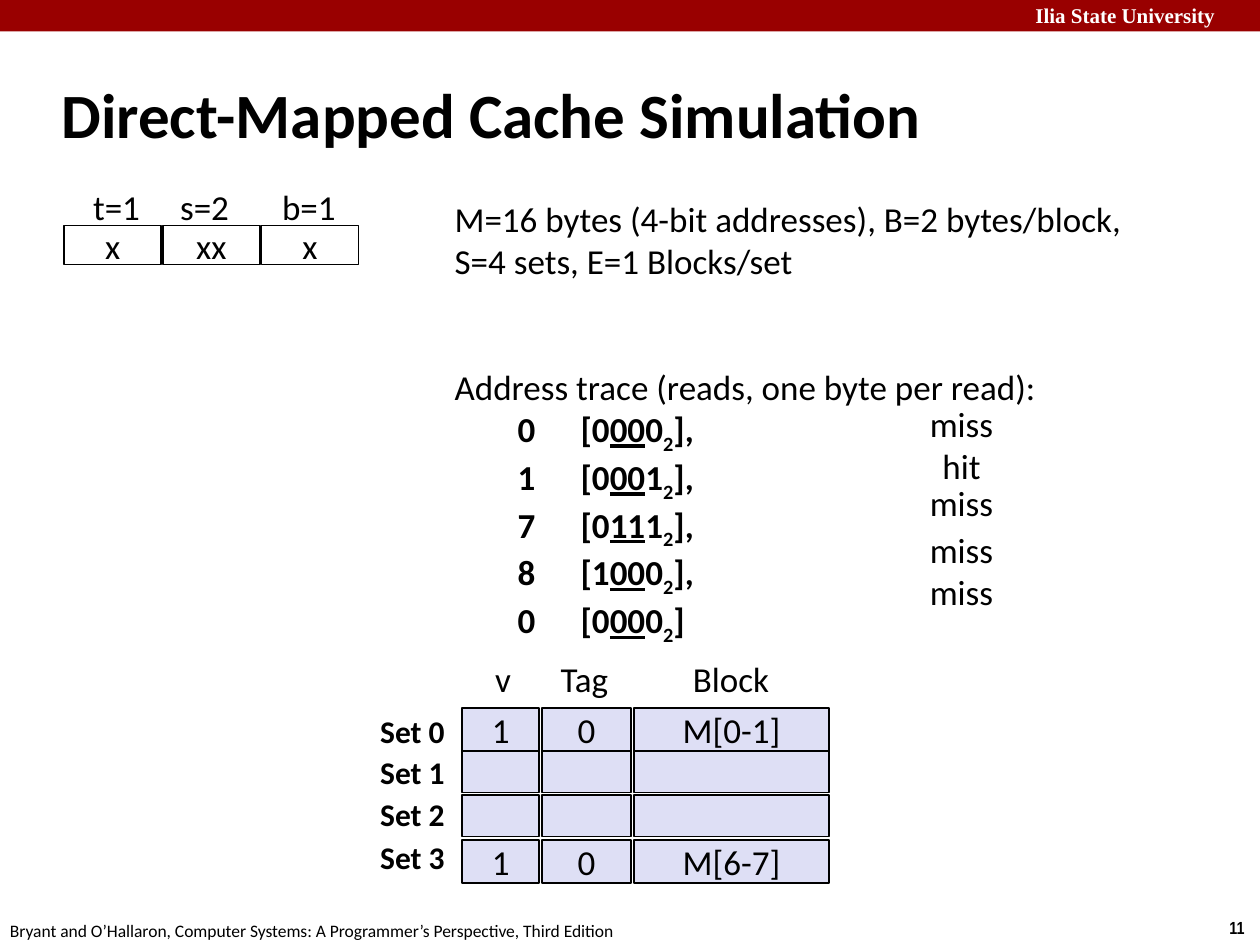
from dataclasses import dataclass

from pptx import Presentation
from pptx import util as u
from pptx.dml.color import RGBColor
from pptx.enum import shapes, text

BLACK = RGBColor(0x00, 0x00, 0x00)
WHITE = RGBColor(0xFF, 0xFF, 0xFF)
CRIMSON = RGBColor(0x99, 0x00, 0x00)
LAVENDER = RGBColor(0xDE, 0xDF, 0xF5)


@dataclass(frozen=True)
class Area:
    left: float
    top: float
    width: float
    height: float

    def lengths(self) -> tuple:
        return tuple(u.Pt(n) for n in (self.left, self.top, self.width, self.height))


@dataclass(frozen=True)
class Column:
    left: float
    width: float


@dataclass(frozen=True)
class CacheSet:
    top: float
    height: float
    label_top: float
    values: tuple[str, ...] = ("", "", "")


@dataclass(frozen=True)
class Read:
    address: int
    outcome: str
    left: float
    top: float
    width: float = 51.1


ADDRESS_FIELDS = (
    ("t=1", "x", 46.1, 41.8),
    ("s=2", "xx", 95.8, 42.5),
    ("b=1", "x", 154.1, 45.4),
)
CACHE_HEADINGS = (("v", 275.8, 24.5), ("Tag", 313.2, 41.8), ("Block", 388.8, 58.3))
CACHE_COLUMNS = (Column(264.2, 43.9), Column(309.6, 51.1), Column(362.2, 111.6))
CACHE_SETS = (
    CacheSet(404.6, 24.5, 403.2, ("1", "0", "M[0-1]")),
    CacheSet(429.1, 23.8, 427),
    CacheSet(454.3, 23.8, 450.7),
    CacheSet(480.2, 24.5, 475.2, ("1", "0", "M[6-7]")),
)
READS = (
    Read(0, "miss", 524.2, 234),
    Read(1, "hit", 531.4, 257.8, 36.7),
    Read(7, "miss", 524.2, 279.4),
    Read(8, "miss", 524.2, 306),
    Read(0, "miss", 524.2, 329.8),
)


def write(para, words: str, *, size: float = 20, font: str = "Calibri",
          color: RGBColor = BLACK, bold: bool = False,
          underline: bool = False, baseline: int = 0) -> None:
    span = para.add_run()
    span.text = words
    span.font.size = u.Pt(size)
    span.font.name = font
    span.font.color.rgb = color
    span.font.bold = bold
    span.font.underline = underline
    if baseline:
        span.font._element.set("baseline", str(baseline * 1000))


def add_text(page, area: Area, words: str, *, wrap: bool = False,
             middle: bool = False, spacing: float = 1.0, **style):
    frame = page.shapes.add_textbox(*area.lengths()).text_frame
    frame.word_wrap = wrap
    frame.vertical_anchor = text.MSO_ANCHOR.MIDDLE if middle else text.MSO_ANCHOR.TOP
    para = frame.paragraphs[0]
    para.line_spacing = spacing
    write(para, words, **style)
    return frame


def add_cell(page, area: Area, fill: RGBColor, words: str = "", outlined: bool = True) -> None:
    box = page.shapes.add_shape(shapes.MSO_SHAPE.RECTANGLE, *area.lengths())
    box.shadow.inherit = False
    box.fill.solid()
    box.fill.fore_color.rgb = fill
    if outlined:
        box.line.color.rgb = BLACK
        box.line.width = u.Pt(1)
    else:
        box.line.fill.background()
    if words:
        frame = box.text_frame
        frame.vertical_anchor = text.MSO_ANCHOR.MIDDLE
        para = frame.paragraphs[0]
        para.alignment = text.PP_ALIGN.CENTER
        write(para, words)


def add_frame(page) -> None:
    add_cell(page, Area(0, 0, 720, 18), CRIMSON, outlined=False)
    add_text(page, Area(584.6, -2.2, 140.4, 36), "Ilia State University", wrap=True,
             size=12, font="Times New Roman", color=WHITE, bold=True)
    add_text(page, Area(695.5, 520.6, 24.5, 19.4), "11",
             size=10, font="Arial Narrow", bold=True)
    add_text(page, Area(-1.4, 522, 365.8, 19.4),
             "Bryant and O’Hallaron, Computer Systems: A Programmer’s Perspective, Third Edition",
             wrap=True, size=10)
    add_text(page, Area(28.1, 34.6, 597.6, 59.8), "Direct-Mapped Cache Simulation",
             wrap=True, middle=True, size=36, bold=True)


def add_address_fields(page) -> None:
    for index, (label, bits, left, width) in enumerate(ADDRESS_FIELDS):
        add_cell(page, Area(36.7 + 56.4 * index, 128.9, 55.4, 22.3), WHITE, bits)
        add_text(page, Area(left, 102.2, width, 31), label)


def add_trace(page) -> None:
    frame = add_text(page, Area(252.7, 109.4, 485.3, 249.1),
                     "M=16 bytes (4-bit addresses), B=2 bytes/block,", wrap=True)
    write(frame.add_paragraph(), "S=4 sets, E=1 Blocks/set")
    heading = frame.add_paragraph()
    heading.space_before = u.Pt(48)
    write(heading, "Address trace (reads, one byte per read):")
    for index, read in enumerate(READS):
        bits = f"{read.address:04b}"
        para = frame.add_paragraph()
        write(para, f"\t{read.address}\t[{bits[0]}", bold=True)
        write(para, bits[1:3], bold=True, underline=True)
        write(para, bits[3], bold=True)
        write(para, "2", bold=True, baseline=-25)
        write(para, "]," if index < len(READS) - 1 else "]", bold=True)
        add_text(page, Area(read.left, read.top, read.width, 24.5), read.outcome, spacing=0.65)


def add_cache(page) -> None:
    for heading, left, width in CACHE_HEADINGS:
        add_text(page, Area(left, 372.2, width, 31), heading)
    for index in (1, 2, 3, 0):
        row = CACHE_SETS[index]
        for column, value in zip(CACHE_COLUMNS, row.values):
            add_cell(page, Area(column.left, row.top, column.width, row.height), LAVENDER, value)
    for index, row in enumerate(CACHE_SETS):
        add_text(page, Area(210.2, row.label_top, 51.8, 28.8), f"Set {index}", size=18, bold=True)


def main() -> None:
    deck = Presentation()
    deck.slide_width, deck.slide_height = u.Pt(720), u.Pt(540)
    page = deck.slides.add_slide(deck.slide_layouts[6])
    add_frame(page)
    add_address_fields(page)
    add_trace(page)
    add_cache(page)
    deck.save("out.pptx")


if __name__ == "__main__":
    main()
